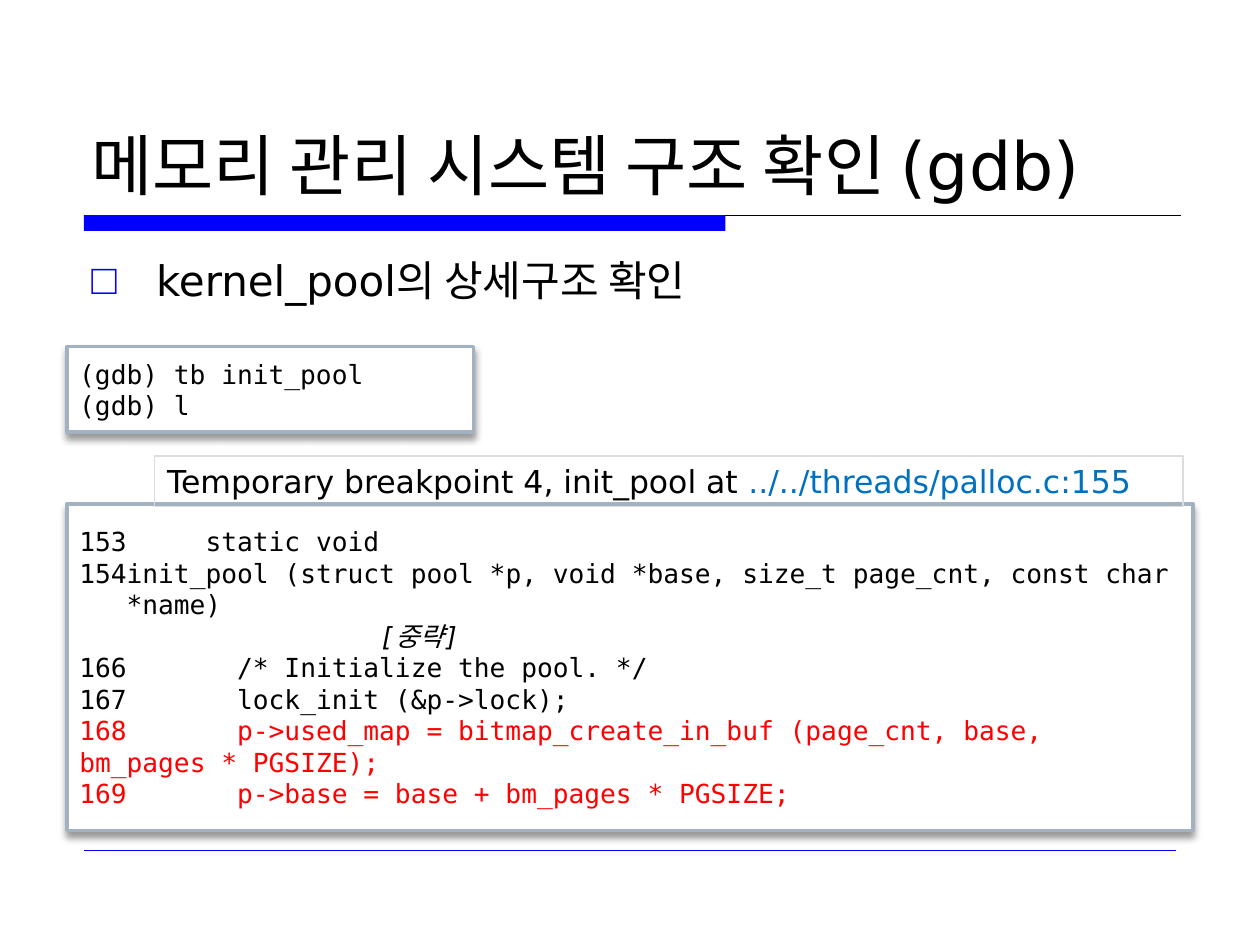
import pptx
import pptx.util
import pptx.dml.color
import pptx.enum.shapes
import pptx.enum.text
import pptx.oxml
import pptx.oxml.ns
import lxml.etree

Pt = pptx.util.Pt
qn = pptx.oxml.ns.qn
ANCHOR = pptx.enum.text.MSO_ANCHOR
RECT = pptx.enum.shapes.MSO_SHAPE.RECTANGLE

SANS = "DejaVu Sans"
MONO = "DejaVu Sans Mono"
COLORS = {
    "text": "000000",
    "accent": "0000FF",
    "frame": "A3B2C1",
    "label": "DDDDDD",
    "paper": "FFFFFF",
    "hot": "FF0000",
    "path": "0070C0",
}


def rgb(name):
    return pptx.dml.color.RGBColor.from_string(COLORS[name])


def add_element(parent, tag, **attrs):
    el = lxml.etree.SubElement(parent, qn(tag))
    for key, value in attrs.items():
        el.set(key, str(value))
    return el


def format_run(r, font, size, color="text", italic=False):
    r.font.name = font
    r.font.size = Pt(size)
    r.font.italic = italic
    r.font.color.rgb = rgb(color)


def set_indent(p, points):
    pPr = p._p.get_or_add_pPr()
    pPr.set("marL", str(Pt(points)))
    pPr.set("indent", str(-Pt(points)))
    return pPr


def fill_placeholder(sp, box, text, size, anchor):
    sp.left, sp.top, sp.width, sp.height = [Pt(v) for v in box]
    tf = sp.text_frame
    tf.text = text
    tf.word_wrap = True
    tf.auto_size = pptx.enum.text.MSO_AUTO_SIZE.NONE
    tf.vertical_anchor = anchor
    p = tf.paragraphs[0]
    p.alignment = pptx.enum.text.PP_ALIGN.LEFT
    p.space_before = Pt(0)
    format_run(p.runs[0], SANS, size)
    return p


def add_line(s, x1, x2, y, color, width):
    kind = pptx.enum.shapes.MSO_CONNECTOR.STRAIGHT
    line = s.shapes.add_connector(kind, Pt(x1), Pt(y), Pt(x2), Pt(y))
    line.line.color.rgb = rgb(color)
    line.line.width = Pt(width)
    add_element(line._element.spPr, "a:effectLst")


def add_box(s, box, fill=None, line=None, width=0.75):
    sp = s.shapes.add_shape(RECT, *[Pt(v) for v in box])
    sp.shadow.inherit = False
    if fill:
        sp.fill.solid()
        sp.fill.fore_color.rgb = rgb(fill)
    else:
        sp.fill.background()
    if line:
        sp.line.color.rgb = rgb(line)
        sp.line.width = Pt(width)
    else:
        sp.line.fill.background()
    return sp


def write_lines(sp, lines, font, size):
    """Each line is a list of (text, colour, italic) runs."""
    tf = sp.text_frame
    tf.word_wrap = True
    tf.vertical_anchor = ANCHOR.MIDDLE
    for i, runs in enumerate(lines):
        p = tf.paragraphs[0] if i == 0 else tf.add_paragraph()
        p.alignment = pptx.enum.text.PP_ALIGN.LEFT
        for text, color, italic in runs:
            r = p.add_run()
            r.text = text
            format_run(r, font, size, color, italic)
    return tf


def add_code_box(s, box, lines):
    sp = add_box(s, box, "paper", "frame", 2)
    effects = sp._element.spPr.find(qn("a:effectLst"))
    shadow = add_element(effects, "a:outerShdw", blurRad=Pt(4), dist=Pt(3),
                         dir=90 * 60000, rotWithShape=0)
    black = add_element(shadow, "a:srgbClr", val=COLORS["text"])
    add_element(black, "a:alpha", val=40000)
    return write_lines(sp, lines, MONO, 15)


def plain(text, color="text"):
    return [(text, color, False)]


def main():
    prs = pptx.Presentation()
    prs.slide_width, prs.slide_height = Pt(720), Pt(540)
    s = prs.slides.add_slide(prs.slide_layouts[1])

    # Title rule and footer rule
    add_line(s, 48, 675, 123, "text", 0.75)
    add_box(s, (48, 123, 366.5, 9), "accent")
    add_line(s, 48, 672, 486, "accent", 0.25)

    # Title and bullet
    fill_placeholder(s.shapes.title, (45, 24, 630, 96),
                     "메모리 관리 시스템 구조 확인 (gdb)", 38, ANCHOR.BOTTOM)
    p = fill_placeholder(s.placeholders[1], (45, 142, 620.5, 257),
                         "kernel_pool의 상세구조 확인", 24, ANCHOR.TOP)
    pPr = set_indent(p, 37)
    add_element(add_element(pPr, "a:buClr"), "a:srgbClr", val=COLORS["accent"])
    add_element(pPr, "a:buChar", char="□")

    # Debugger commands
    add_code_box(s, (38.2, 198, 232.5, 49),
                 [plain("(gdb) tb init_pool"), plain("(gdb) l")])

    # Source listing; line 154 carries an automatic number
    tf = add_code_box(s, (38.2, 288, 643.5, 186.5), [
        plain("153     static void"),
        plain("init_pool (struct pool *p, void *base, size_t page_cnt, "
              "const char *name)"),
        plain("                   ") + [("[중략]", "text", True)],
        plain("166       /* Initialize the pool. */"),
        plain("167       lock_init (&p->lock);"),
        plain("168       p->used_map = bitmap_create_in_buf (page_cnt, base, "
              "bm_pages * PGSIZE);", "hot"),
        plain("169       p->base = base + bm_pages * PGSIZE;", "hot"),
    ])
    pPr = set_indent(tf.paragraphs[1], 27)
    add_element(pPr, "a:buAutoNum", type="arabicPlain", startAt=154)

    # Breakpoint message
    label = add_box(s, (88.5, 260.5, 587.5, 29), line="label")
    write_lines(label, [plain("Temporary breakpoint 4, init_pool at ")
                        + plain("../../threads/palloc.c:155", "path")],
                SANS, 18)

    prs.save("out.pptx")


if __name__ == "__main__":
    main()
